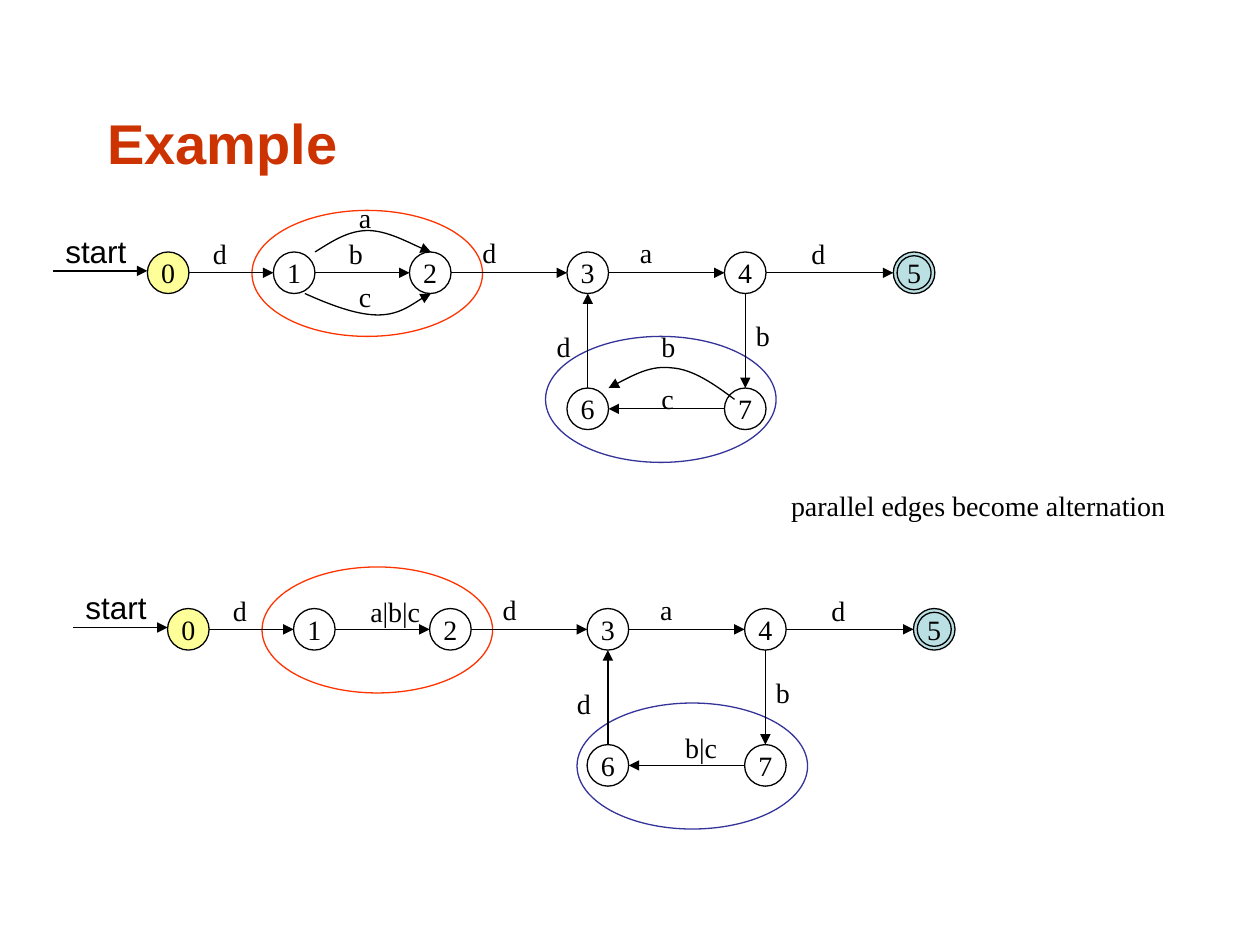
from itertools import pairwise

from lxml import etree
from pptx import Presentation
from pptx import util as u
from pptx.dml.color import RGBColor
from pptx.enum import shapes as kinds, text
from pptx.oxml.ns import qn

SERIF, SANS = "Times New Roman", "Arial"
BLACK, RED, BLUE = "000000", "FF3300", "333399"
NODE = 0.33
RING_INSET = 0.03
LINE_WIDTH = u.Pt(0.75)

# Top left corner of each state, from the corner of state 0
STATES = {"0": (0, 0), "1": (1, 0), "2": (2.08, 0), "3": (3.33, 0),
          "4": (4.58, 0), "5": (5.92, 0), "6": (3.33, 1.08), "7": (4.58, 1.08)}
STATE_FILLS = {"0": "FFFF99", "5": "BBE0E3"}
SHARED_LABELS = [("d", 0.42, -0.17), ("d", 2.56, -0.18), ("a", 3.81, -0.18),
                 ("d", 5.17, -0.17), ("d", 3.15, 0.57), ("b", 4.73, 0.48)]


def color(value):
    return RGBColor.from_string(value)


def write(frame, words, size, font, ink=BLACK, align=text.PP_ALIGN.LEFT, bold=False):
    para = frame.paragraphs[0]
    para.alignment = align
    span = para.add_run()
    span.text = words
    span.font.size = u.Pt(size)
    span.font.name = font
    span.font.bold = bold
    span.font.color.rgb = color(ink)


def add_label(shapes, words, left, top, width=0.31, height=0.37, size=16, font=SERIF):
    box = shapes.add_textbox(*map(u.Inches, (left, top, width, height)))
    box.text_frame.word_wrap = False
    box.text_frame.auto_size = text.MSO_AUTO_SIZE.SHAPE_TO_FIT_TEXT
    write(box.text_frame, words, size, font)


def add_oval(shapes, left, top, width, height, ink=BLACK, fill=None):
    oval = shapes.add_shape(kinds.MSO_SHAPE.OVAL, *map(u.Inches, (left, top, width, height)))
    oval.shadow.inherit = False
    oval.line.color.rgb = color(ink)
    oval.line.width = LINE_WIDTH
    if fill:
        oval.fill.solid()
        oval.fill.fore_color.rgb = color(fill)
    else:
        oval.fill.background()
    return oval


def finish_edge(edge):
    """Give an edge its thin black line and arrowhead."""
    edge.line.color.rgb = color(BLACK)
    edge.line.width = LINE_WIDTH
    etree.SubElement(edge.line._get_or_add_ln(), qn("a:tailEnd"), type="triangle")


def add_arrow(shapes, start, end):
    arrow = shapes.add_connector(kinds.MSO_CONNECTOR.STRAIGHT, *map(u.Inches, (*start, *end)))
    finish_edge(arrow)
    etree.SubElement(arrow._element.spPr, qn("a:effectLst"))


def add_curve(shapes, points):
    """Draw a Bezier chain: a start, then two controls and an end for each piece."""
    start, *rest = [(u.Inches(x), u.Inches(y)) for x, y in points]
    builder = shapes.build_freeform(*start)
    builder.add_line_segments(rest, close=False)
    curve = builder.convert_to_shape()
    curve.shadow.inherit = False
    curve.fill.background()
    finish_edge(curve)
    steps = list(curve._element.iter(qn("a:lnTo")))
    for first in range(0, len(steps), 3):
        bezier = etree.Element(qn("a:cubicBezTo"))
        steps[first].addprevious(bezier)
        for step in steps[first:first + 3]:
            bezier.append(step[0])
            step.getparent().remove(step)


def add_state(shapes, name, left, top):
    state = add_oval(shapes, left, top, NODE, NODE, fill=STATE_FILLS.get(name))
    frame = state.text_frame
    frame.word_wrap = False
    frame.vertical_anchor = text.MSO_ANCHOR.MIDDLE
    write(frame, name, 16, SERIF, align=text.PP_ALIGN.CENTER)


def add_start(shapes, left, top):
    group = shapes.add_group_shape().shapes
    add_arrow(group, (left - 0.75, top + 0.15), (left, top + 0.15))
    add_label(group, "start", left - 0.75, top - 0.21, 0.7, 0.4, 18, SANS)


def add_automaton(shapes, left, top, highlights, labels, curves=()):
    """Place the automaton with the corner of state 0 at left, top."""
    def shift(point):
        return left + point[0], top + point[1]

    for ink, corner in highlights:
        add_oval(shapes, *shift(corner), 1.83, 1, ink)
    for name, corner in STATES.items():
        add_state(shapes, name, *shift(corner))
    ring = NODE - 2 * RING_INSET
    x, y = shift(STATES["5"])
    add_oval(shapes, x + RING_INSET, y + RING_INSET, ring, ring)

    def side(name, across, down):
        x, y = shift(STATES[name])
        return x + across * NODE, y + down * NODE

    for source, target in pairwise("012345"):
        add_arrow(shapes, side(source, 1, 0.5), side(target, 0, 0.5))
    add_arrow(shapes, side("4", 0.5, 1), side("7", 0.5, 0))
    add_arrow(shapes, side("7", 0, 0.5), side("6", 1, 0.5))
    add_arrow(shapes, side("6", 0.5, 0), side("3", 0.5, 1))
    for points in curves:
        add_curve(shapes, [shift(point) for point in points])
    for words, x, y, *width in [*SHARED_LABELS, *labels]:
        add_label(shapes, words, *shift((x, y)), *width)
    add_start(shapes, left, top)


def add_title(page, words):
    title = page.shapes.title
    title.left, title.top, title.width, title.height = map(u.Inches, (0.75, 0.5, 8.5, 1.25))
    title.text_frame.vertical_anchor = text.MSO_ANCHOR.MIDDLE
    write(title.text_frame, words, 32, SANS, "CC3300", bold=True)


def main():
    deck = Presentation()
    deck.slide_width, deck.slide_height = u.Inches(10), u.Inches(7.5)
    page = deck.slides.add_slide(deck.slide_layouts[5])
    add_title(page, "Example")
    add_automaton(
        page.shapes, 1.17, 2,
        highlights=[(RED, (0.83, -0.33)), (BLUE, (3.16, 0.67))],
        labels=[("a", 1.58, -0.46), ("b", 1.5, -0.17), ("c", 1.58, 0.17),
                ("b", 3.98, 0.57), ("c", 3.98, 0.98)],
        curves=[
            [(1.33, 0), (1.46, -0.08), (1.59, -0.17), (1.75, -0.17),
             (1.9, -0.17), (2.16, -0.03), (2.25, 0)],
            [(1.25, 0.33), (1.45, 0.42), (1.66, 0.5), (1.83, 0.5),
             (2, 0.5), (2.18, 0.36), (2.25, 0.33)],
            [(4.66, 1.17), (4.5, 1.05), (4.33, 0.93), (4.16, 0.92),
             (4, 0.9), (3.83, 0.99), (3.66, 1.08)],
        ])
    add_label(page.shapes, "parallel edges become alternation", 6.18, 3.83, 3.17)
    add_automaton(
        page.shapes, 1.33, 4.83,
        highlights=[(RED, (0.75, -0.33)), (BLUE, (3.25, 0.75))],
        labels=[("a|b|c", 1.51, -0.16, 0.61), ("b|c", 4.01, 0.92, 0.47)])
    deck.save("out.pptx")


if __name__ == "__main__":
    main()
